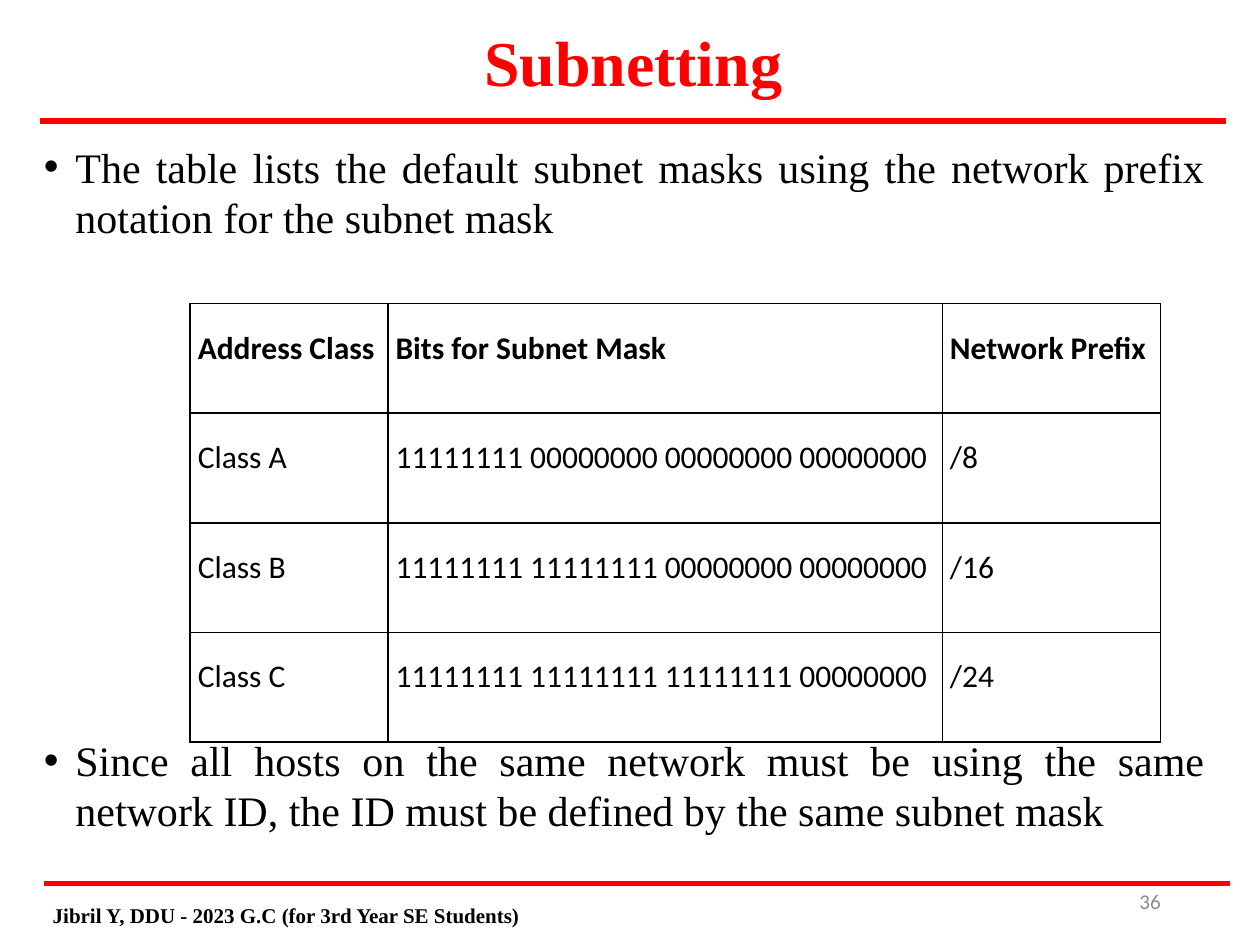
import pptx
import pptx.util
import pptx.dml.color
import pptx.enum.shapes
import pptx.enum.text
import pptx.oxml.ns
from lxml import etree
from pptx.util import Inches, Pt

COLORS = {"accent": "FF0000", "text": "000000", "number": "8B8B8B"}
SERIF, SANS = "Times New Roman", "Calibri"
ALIGN = pptx.enum.text.PP_ALIGN
ANCHOR = pptx.enum.text.MSO_ANCHOR

MASK_ROWS = [
    ("Address Class", "Bits for Subnet Mask", "Network Prefix"),
    ("Class A", "11111111 00000000 00000000 00000000", "/8"),
    ("Class B", "11111111 11111111 00000000 00000000", "/16"),
    ("Class C", "11111111 11111111 11111111 00000000", "/24"),
]


def rgb(name):
    return pptx.dml.color.RGBColor.from_string(COLORS[name])


def add_xml(parent, tag, **attributes):
    return etree.SubElement(parent, pptx.oxml.ns.qn(tag), **attributes)


def style_text(paragraph, size, font, color="text", bold=False):
    for run in paragraph.runs:
        run.font.size = Pt(size)
        run.font.name = font
        run.font.bold = bold
        run.font.color.rgb = rgb(color)


def add_text(slide, box, text, size, font, color="text", bold=False,
             align=ALIGN.LEFT, anchor=ANCHOR.MIDDLE):
    shape = slide.shapes.add_textbox(*map(Inches, box))
    frame = shape.text_frame
    frame.word_wrap = True
    frame.vertical_anchor = anchor
    frame.text = text
    paragraph = frame.paragraphs[0]
    paragraph.alignment = align
    style_text(paragraph, size, font, color, bold)
    return paragraph


def add_bullet(slide, box, text):
    paragraph = add_text(slide, box, text, 24, SERIF,
                         align=ALIGN.JUSTIFY, anchor=ANCHOR.TOP)
    properties = paragraph._p.get_or_add_pPr()
    properties.set("marL", str(Inches(0.25)))
    properties.set("indent", str(-Inches(0.25)))
    add_xml(properties, "a:buFont", typeface="Arial")
    add_xml(properties, "a:buChar", char="•")


def add_rule(slide, left, top, width):
    line = slide.shapes.add_connector(
        pptx.enum.shapes.MSO_CONNECTOR.STRAIGHT,
        Inches(left), Inches(top), Inches(left + width), Inches(top))
    line.line.color.rgb = rgb("accent")
    line.line.width = Pt(3)
    add_xml(line._element.spPr, "a:effectLst")


def add_borders(cell):
    properties = cell._tc.get_or_add_tcPr()
    for side in ("a:lnL", "a:lnR", "a:lnT", "a:lnB"):
        border = add_xml(properties, side, w=str(Pt(0.96)))
        fill = add_xml(border, "a:solidFill")
        add_xml(fill, "a:srgbClr", val=COLORS["text"])


def add_mask_table(slide, left, top, column_widths, row_height):
    table = slide.shapes.add_table(
        len(MASK_ROWS), len(column_widths), Inches(left), Inches(top),
        Inches(sum(column_widths)), Inches(row_height * len(MASK_ROWS))).table
    table.horz_banding = False
    for column, width in zip(table.columns, column_widths):
        column.width = Inches(width)
    for row_index, values in enumerate(MASK_ROWS):
        for column_index, value in enumerate(values):
            cell = table.cell(row_index, column_index)
            cell.margin_left = cell.margin_right = Inches(0.06)
            cell.margin_top = cell.margin_bottom = Inches(0.05)
            add_borders(cell)
            cell.fill.background()
            cell.text_frame.text = value
            paragraph = cell.text_frame.paragraphs[0]
            paragraph.line_spacing = 1.5
            style_text(paragraph, 18, SANS, bold=row_index == 0)


def add_header(slide, left, top, width):
    title = add_text(slide, (left, top, width, 0.65), "Subnetting", 36.5,
                     SERIF, "accent", True, ALIGN.CENTER)
    title.line_spacing = 0.9
    add_rule(slide, left, top + 0.76, width)


def add_body(slide, left, top, width):
    add_bullet(slide, (left, top, width, 0.95),
               "The table lists the default subnet masks using the network "
               "prefix notation for the subnet mask")
    add_mask_table(slide, left + 1.26, top + 1.34, (1.57, 4.4, 1.73), 0.87)
    add_bullet(slide, (left, top + 4.71, width, 0.95),
               "Since all hosts on the same network must be using the same "
               "network ID, the ID must be defined by the same subnet mask")


def add_footer(slide, left, top, width):
    add_rule(slide, left + 0.03, top, width)
    add_text(slide, (left, top + 0.05, 8.78, 0.4),
             "Jibril Y, DDU - 2023 G.C (for 3rd Year SE Students)",
             12, SERIF, bold=True)
    add_text(slide, (left + 6.74, top - 0.06, 2.25, 0.4), "36", 12, SANS,
             "number", align=ALIGN.RIGHT)


def main():
    presentation = pptx.Presentation()
    presentation.slide_width = Inches(10)
    presentation.slide_height = Inches(7.5)
    slide = presentation.slides.add_slide(presentation.slide_layouts[6])
    add_header(slide, 0.32, 0.2, 9.41)
    add_body(slide, 0.25, 1.07, 9.41)
    add_footer(slide, 0.32, 7.01, 9.41)
    presentation.save("out.pptx")


if __name__ == "__main__":
    main()
